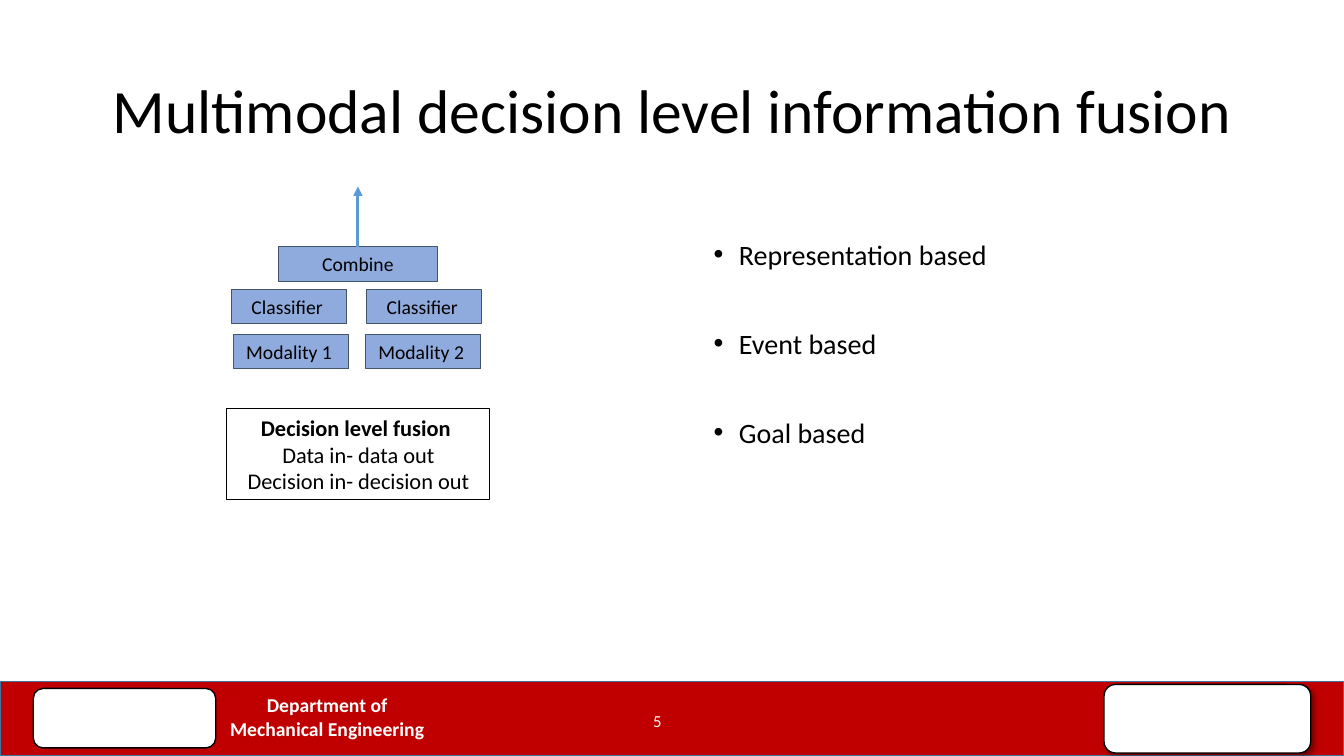
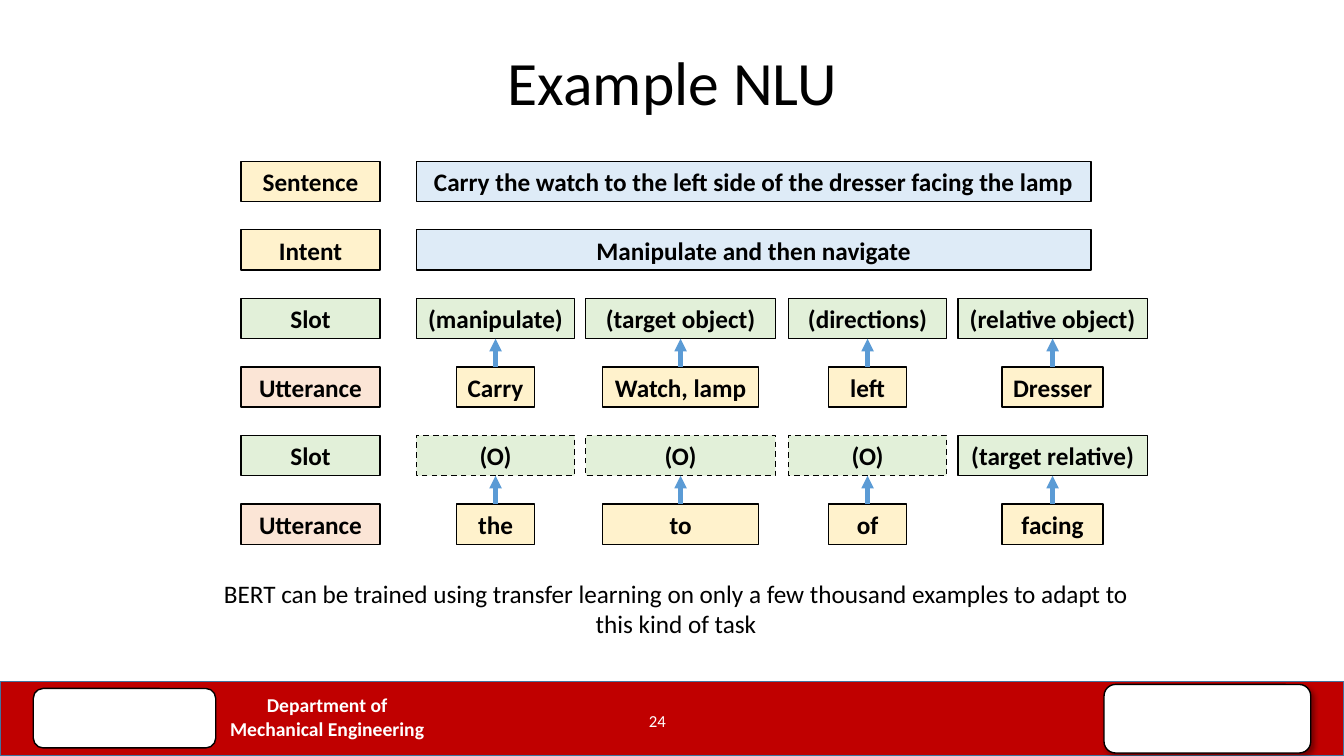
"""Build two slides on multimodal fusion and natural language understanding."""
from dataclasses import dataclass

from lxml import etree
from pptx import Presentation
from pptx import util as u
from pptx.dml.color import RGBColor
from pptx.enum import dml, shapes, text
from pptx.oxml.ns import qn


@dataclass(frozen=True)
class Theme:
    """Colours, font and type sizes of the presentation."""
    font: str = "Calibri"
    black: str = "000000"
    white: str = "FFFFFF"
    band: str = "C00000"
    band_edge: str = "43739E"
    block: str = "8FAADC"
    block_edge: str = "44546A"
    arrow: str = "5B9BD5"
    yellow: str = "FFF2CC"
    blue: str = "DEEBF7"
    green: str = "E2F0D9"
    orange: str = "FBE5D6"
    title_size: int = 44
    bullet_size: int = 20
    cell_size: int = 18
    caption_size: int = 16
    block_size: int = 14
    number_size: int = 12


THEME = Theme()
ROW_TOP, ROW_STEP, ROW_HEIGHT = 1.6, 0.68, 0.4
LABEL_LEFT, LABEL_WIDTH = 2.39, 1.38
SENTENCE_LEFT, SENTENCE_WIDTH = 4.13, 6.69
SLOT_COLUMNS = [(4.13, 1.57, 0.77), (5.81, 1.88, 1.55), (7.82, 1.57, 0.77), (9.5, 1.88, 1.0)]


def add_run(paragraph, words, size, color=THEME.black, bold=False):
    """Add one formatted run to a paragraph."""
    run = paragraph.add_run()
    run.text = words
    run.font.name = THEME.font
    run.font.size = u.Pt(size)
    run.font.bold = bold
    run.font.color.rgb = RGBColor.from_string(color)


def write_lines(frame, lines, size, color=THEME.black, bold=False, spacing=None):
    """Write centred paragraphs and return them."""
    for index, line in enumerate(lines):
        paragraph = frame.paragraphs[0] if index == 0 else frame.add_paragraph()
        paragraph.alignment = text.PP_ALIGN.CENTER
        paragraph.line_spacing = spacing
        add_run(paragraph, line, size, color, bold)
    return frame.paragraphs


def add_label(slide, box, lines, size, anchor=text.MSO_ANCHOR.TOP, **style):
    """Add a wrapping text box and return its paragraphs."""
    frame = slide.shapes.add_textbox(*map(u.Inches, box)).text_frame
    frame.word_wrap = True
    frame.vertical_anchor = anchor
    return write_lines(frame, lines, size, **style)


def add_box(slide, box, fill=None, edge=THEME.black, width=1, rounded=False, dashed=False):
    """Add an outlined box without a shadow."""
    kind = shapes.MSO_SHAPE.ROUNDED_RECTANGLE if rounded else shapes.MSO_SHAPE.RECTANGLE
    shape = slide.shapes.add_shape(kind, *map(u.Inches, box))
    shape.shadow.inherit = False
    if fill:
        shape.fill.solid()
        shape.fill.fore_color.rgb = RGBColor.from_string(fill)
    else:
        shape.fill.background()
    shape.line.color.rgb = RGBColor.from_string(edge)
    shape.line.width = u.Pt(width)
    if dashed:
        shape.line.dash_style = dml.MSO_LINE.DASH
    return shape


def add_text_box(slide, box, lines, size, bold=False, **style):
    """Add a box with centred text that stays on its lines."""
    shape = add_box(slide, box, **style)
    shape.text_frame.word_wrap = False
    shape.text_frame.vertical_anchor = text.MSO_ANCHOR.MIDDLE
    write_lines(shape.text_frame, lines, size, bold=bold)
    return shape


def add_arrow(slide, source, end, width, target=None):
    """Add an arrow from the top of a box to a point or the bottom of a target."""
    x, y = map(u.Inches, end)
    connector = slide.shapes.add_connector(shapes.MSO_CONNECTOR.STRAIGHT, x, source.top, x, y)
    connector.begin_connect(source, 0)
    if target:
        connector.end_connect(target, 2)
    connector.line.color.rgb = RGBColor.from_string(THEME.arrow)
    connector.line.width = u.Pt(width)
    properties = connector.element.spPr
    etree.SubElement(properties.find(qn("a:ln")), qn("a:tailEnd"), type="triangle")
    etree.SubElement(properties, qn("a:effectLst"))


def add_soft_shadow(shape):
    """Give a shape a soft black shadow."""
    effects = shape.element.spPr.find(qn("a:effectLst"))
    shadow = etree.SubElement(effects, qn("a:outerShdw"), blurRad=str(u.Pt(4)),
                              dist=str(u.Pt(3)), dir="2700000", algn="tl", rotWithShape="0")
    color = etree.SubElement(shadow, qn("a:srgbClr"), val=THEME.black)
    etree.SubElement(color, qn("a:alpha"), val="40000")


def add_bullets(slide, box, items):
    """Add a widely spaced bulleted list."""
    paragraphs = add_label(slide, box, items, THEME.bullet_size, spacing=0.9)
    for index, paragraph in enumerate(paragraphs):
        properties = paragraph._p.get_or_add_pPr()
        properties.set("marL", str(u.Inches(0.25)))
        properties.set("indent", str(u.Inches(-0.25)))
        etree.SubElement(properties, qn("a:buFont"), typeface="Arial")
        etree.SubElement(properties, qn("a:buChar"), char="•")
        paragraph.alignment = text.PP_ALIGN.LEFT
        paragraph.space_before = u.Pt(42 if index else 0)


def add_base_slide(presentation, title, title_height, number):
    """Add a slide with the shared footer band and title."""
    slide = presentation.slides.add_slide(presentation.slide_layouts[6])
    add_box(slide, (0, 6.76, 13.33, 0.74), THEME.band, THEME.band_edge)
    add_box(slide, (0.33, 6.83, 1.81, 0.59), THEME.white, rounded=True)
    add_label(slide, (1.87, 6.83, 2.75, 0.57), ["Department of", "Mechanical Engineering"],
              THEME.block_size, color=THEME.white, bold=True)
    add_soft_shadow(add_box(slide, (10.95, 6.79, 2.05, 0.68), THEME.white, rounded=True))
    middle = text.MSO_ANCHOR.MIDDLE
    add_label(slide, (0.92, 0.4, 11.5, title_height), [title], THEME.title_size, middle, spacing=0.9)
    add_label(slide, (5.02, 6.95, 3, 0.4), [number], THEME.number_size, middle, color=THEME.white)
    return slide


def build_fusion_slide(presentation):
    """Build the decision level fusion slide."""
    slide = add_base_slide(presentation, "Multimodal decision level information fusion", 1.45, "5")
    add_bullets(slide, (6.98, 2.34, 5.19, 4.14),
                ["Representation based", "Event based", "Goal based"])
    blocks = [("Classifier ", 2.3, 2.87), ("Classifier ", 3.64, 2.87),
              ("Modality 1 ", 2.32, 3.32), ("Modality 2 ", 3.63, 3.32)]
    style = {"fill": THEME.block, "edge": THEME.block_edge, "width": 0.75}
    combine = add_text_box(slide, (2.76, 2.45, 1.58, 0.34), ["Combine"], THEME.block_size, **style)
    for name, left, top in blocks:
        add_text_box(slide, (left, top, 1.14, 0.34), [name], THEME.block_size, **style)
    add_arrow(slide, combine, (3.55, 1.85), 2.25)
    caption = add_text_box(
        slide, (2.25, 4.05, 2.61, 0.91),
        ["Decision level fusion ", "Data in- data out", "Decision in- decision out"],
        THEME.caption_size, width=0.75)
    caption.text_frame.paragraphs[0].runs[0].font.bold = True


def add_cell(slide, row, left, width, words, fill, dashed=False):
    """Add a bold cell on a row of the language grid."""
    box = (left, ROW_TOP + row * ROW_STEP, width, ROW_HEIGHT)
    return add_text_box(slide, box, [words], THEME.cell_size, bold=True, fill=fill, dashed=dashed)


def add_slot_rows(slide, row, pairs):
    """Add slots with the utterance words that point to them."""
    for (left, width, word_width), (slot_name, word) in zip(SLOT_COLUMNS, pairs):
        center = left + width / 2
        slot = add_cell(slide, row, left, width, slot_name, THEME.green, slot_name == "(O)")
        utterance = add_cell(slide, row + 1, center - word_width / 2, word_width, word, THEME.yellow)
        add_arrow(slide, utterance, (center, ROW_TOP + row * ROW_STEP + ROW_HEIGHT), 3, slot)


def build_language_slide(presentation):
    """Build the natural language understanding slide."""
    slide = add_base_slide(presentation, "Example NLU", 0.9, "24")
    slot_labels = [("Slot", THEME.green), ("Utterance", THEME.orange)]
    labels = [("Sentence", THEME.yellow), ("Intent", THEME.yellow)] + slot_labels * 2
    for row, (name, fill) in enumerate(labels):
        add_cell(slide, row, LABEL_LEFT, LABEL_WIDTH, name, fill)
    sentences = ["Carry the watch to the left side of the dresser facing the lamp",
                 "Manipulate and then navigate"]
    for row, sentence in enumerate(sentences):
        add_cell(slide, row, SENTENCE_LEFT, SENTENCE_WIDTH, sentence, THEME.blue)
    add_slot_rows(slide, 2, [("(manipulate)", "Carry"), ("(target object)", "Watch, lamp"),
                             ("(directions)", "left"), ("(relative object)", "Dresser")])
    add_slot_rows(slide, 4, [("(O)", "the"), ("(O)", "to"), ("(O)", "of"),
                             ("(target relative)", "facing")])
    add_label(slide, (2.03, 5.69, 9.35, 0.71),
              ["BERT can be trained using transfer learning on only a few thousand examples"
               " to adapt to this kind of task"], THEME.cell_size)


def main():
    """Build and save the presentation."""
    presentation = Presentation()
    presentation.slide_width = u.Inches(13.33)
    presentation.slide_height = u.Inches(7.5)
    build_fusion_slide(presentation)
    build_language_slide(presentation)
    presentation.save("out.pptx")


if __name__ == "__main__":
    main()
